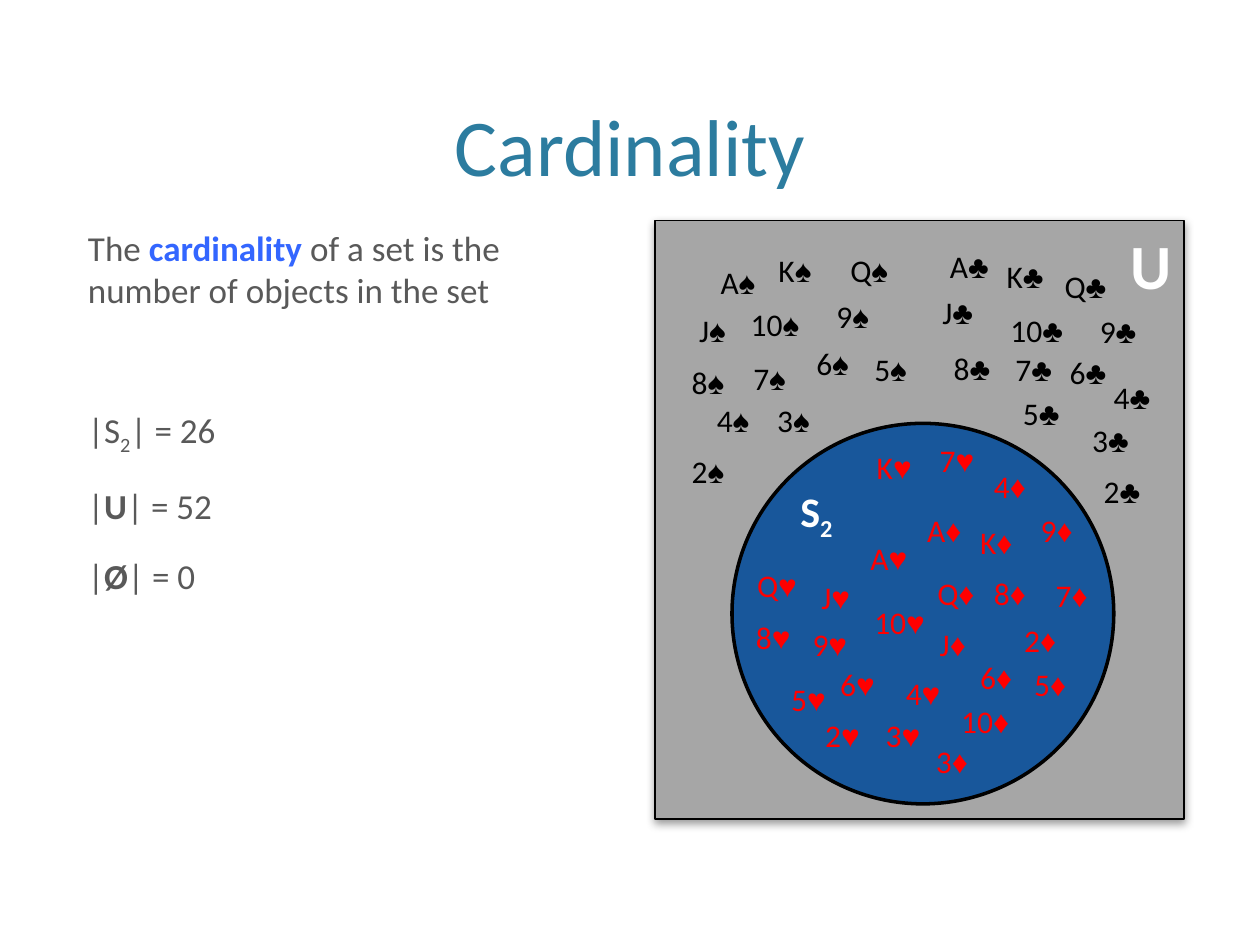
from dataclasses import dataclass

from lxml import etree
from pptx import Presentation
from pptx import util as u
from pptx.dml.color import RGBColor
from pptx.enum import shapes, text
from pptx.oxml import ns

PX = 9144  # EMU per px, at 100 px to the inch

TEAL = RGBColor(0x2C, 0x7C, 0x9F)
GREY_TEXT = RGBColor(0x59, 0x59, 0x59)
ACCENT = RGBColor(0x33, 0x66, 0xFF)
GREY_FILL = RGBColor(0xA6, 0xA6, 0xA6)
BLUE_FILL = RGBColor(0x18, 0x57, 0x9B)
WHITE = RGBColor(0xFF, 0xFF, 0xFF)
BLACK = RGBColor(0x00, 0x00, 0x00)
RED = RGBColor(0xFF, 0x00, 0x00)

CARD_HEIGHT = 40
CARD_WIDTHS = {"K": 56, "Q": 58, "J": 52, "10": 71}
DEFAULT_CARD_WIDTH = 55
RANKS = ("K", "A", "Q", "J", "10", "9", "8", "7", "6", "5", "4", "3", "2")


@dataclass(frozen=True)
class Box:
    left: int
    top: int
    width: int
    height: int

    def emu(self) -> tuple[int, ...]:
        return tuple(v * PX for v in (self.left, self.top, self.width, self.height))


@dataclass(frozen=True)
class Piece:
    content: str
    color: RGBColor
    size: int
    bold: bool = False
    subscript: bool = False
    font: str = "Calibri"


@dataclass(frozen=True)
class Suit:
    symbol: str
    color: RGBColor
    bold: bool
    corners: tuple[tuple[int, int], ...]  # left, top of each card in RANKS order


SUITS = (
    Suit("♠", BLACK, True, (
        (608, 194), (562, 204), (665, 194), (545, 242), (586, 237), (654, 231), (539, 283),
        (588, 280), (638, 268), (684, 273), (559, 313), (607, 313), (539, 354))),
    Suit("♣", BLACK, True, (
        (789, 199), (744, 191), (835, 207), (738, 228), (792, 242), (863, 243), (747, 272),
        (796, 273), (839, 275), (802, 308), (874, 295), (857, 329), (866, 370))),
    Suit("♥", RED, True, (
        (686, 351), (681, 423), (591, 444), (642, 454), (684, 474), (635, 491), (590, 486),
        (736, 345), (657, 523), (618, 535), (709, 530), (693, 563), (645, 563))),
    Suit("♦", RED, False, (
        (768, 410), (726, 401), (734, 451), (736, 491), (753, 552), (816, 401), (779, 451),
        (828, 452), (768, 517), (811, 523), (779, 366), (733, 584), (803, 488))),
)


def write_pieces(paragraph, pieces: list[Piece]) -> None:
    for piece in pieces:
        run = paragraph.add_run()
        run.text = piece.content
        run.font.name = piece.font
        run.font.size = u.Pt(piece.size)
        run.font.bold = piece.bold
        run.font.color.rgb = piece.color
        if piece.subscript:
            run.font._element.set("baseline", "-25000")


def add_text(slide, box: Box, wrap: bool = True):
    text_frame = slide.shapes.add_textbox(*box.emu()).text_frame
    text_frame.word_wrap = wrap
    return text_frame


def add_set(slide, kind, box: Box, fill: RGBColor, line_width: int,
            align, label: list[Piece]):
    shape = slide.shapes.add_shape(kind, *box.emu())
    shape.shadow.inherit = False
    shape.fill.solid()
    shape.fill.fore_color.rgb = fill
    shape.line.color.rgb = BLACK
    shape.line.width = u.Pt(line_width)
    shape.text_frame.vertical_anchor = text.MSO_ANCHOR.TOP
    paragraph = shape.text_frame.paragraphs[0]
    paragraph.alignment = align
    write_pieces(paragraph, label)
    return shape


def add_shadow(shape, blur: int, distance: int, opacity: int) -> None:
    effects = shape._element.spPr.find(ns.qn("a:effectLst"))
    shadow = etree.SubElement(
        effects, ns.qn("a:outerShdw"), blurRad=str(u.Pt(blur)),
        dist=str(u.Pt(distance)), dir="5400000", algn="ctr", rotWithShape="0")
    color = etree.SubElement(shadow, ns.qn("a:srgbClr"), val=str(BLACK))
    etree.SubElement(color, ns.qn("a:alpha"), val=str(opacity * 1000))


def add_card(slide, rank: str, suit: Suit, corner: tuple[int, int]) -> None:
    box = Box(*corner, CARD_WIDTHS.get(rank, DEFAULT_CARD_WIDTH), CARD_HEIGHT)
    text_frame = add_text(slide, box, wrap=False)
    text_frame.auto_size = text.MSO_AUTO_SIZE.SHAPE_TO_FIT_TEXT
    write_pieces(text_frame.paragraphs[0], [
        Piece(rank, suit.color, 18),
        Piece(suit.symbol, suit.color, 18, bold=suit.bold, font="Arial"),
    ])


def body(content: str, color: RGBColor = GREY_TEXT, **style: bool) -> Piece:
    return Piece(content, color, 20, **style)


def main() -> None:
    presentation = Presentation()
    presentation.slide_width = 1000 * PX
    presentation.slide_height = 750 * PX
    slide = presentation.slides.add_slide(presentation.slide_layouts[6])

    # Title
    title = add_text(slide, Box(60, 12, 880, 146))
    title.vertical_anchor = text.MSO_ANCHOR.BOTTOM
    title.paragraphs[0].alignment = text.PP_ALIGN.CENTER
    write_pieces(title.paragraphs[0], [Piece("Cardinality", TEAL, 46)])

    # Definition and examples; the wide space sets the examples apart
    definition = add_text(slide, Box(60, 175, 420, 475))
    lines = (
        (16, [body("The "), body("cardinality", ACCENT, bold=True),
              body(" of a set is the number of objects in the set")]),
        (56, [body("|S"), body("2", subscript=True), body("| = 26")]),
        (16, [body("|"), body("U", bold=True), body("| = 52")]),
        (16, [body("|"), body("Ø", bold=True), body("| = 0")]),
    )
    for index, (space_before, pieces) in enumerate(lines):
        paragraph = definition.add_paragraph() if index else definition.paragraphs[0]
        paragraph.space_before = u.Pt(space_before)
        write_pieces(paragraph, pieces)

    # Universe and the subset of red cards
    universe = add_set(
        slide, shapes.MSO_SHAPE.RECTANGLE, Box(520, 175, 420, 475), GREY_FILL, 1,
        text.PP_ALIGN.RIGHT, [Piece("U", WHITE, 36, bold=True)])
    add_shadow(universe, blur=5, distance=2, opacity=40)
    add_set(
        slide, shapes.MSO_SHAPE.OVAL, Box(581, 336, 303, 302), BLUE_FILL, 2,
        text.PP_ALIGN.LEFT,
        [Piece("S", WHITE, 24, bold=True), Piece("2", WHITE, 24, bold=True, subscript=True)])

    # Playing cards
    for suit in SUITS:
        for rank, corner in zip(RANKS, suit.corners):
            add_card(slide, rank, suit, corner)

    presentation.save("out.pptx")


if __name__ == "__main__":
    main()
